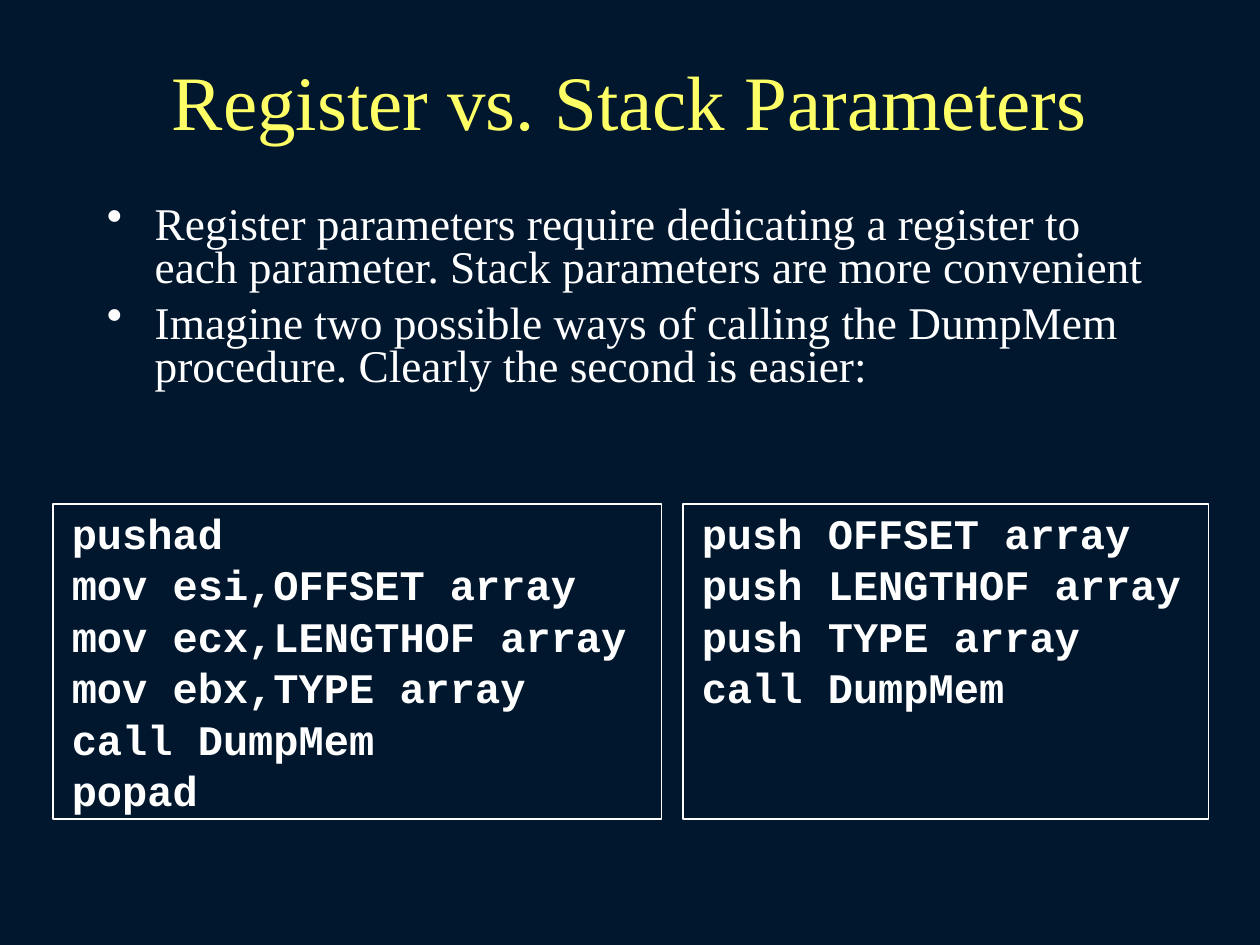
from lxml import etree
from pptx import Presentation
from pptx.dml.color import RGBColor
from pptx.enum.shapes import MSO_SHAPE
from pptx.enum.text import MSO_ANCHOR, PP_ALIGN
from pptx.oxml.ns import qn
from pptx.util import Inches, Pt

RECTANGLE = MSO_SHAPE.RECTANGLE
TOP, MIDDLE = MSO_ANCHOR.TOP, MSO_ANCHOR.MIDDLE
LEFT, CENTER = PP_ALIGN.LEFT, PP_ALIGN.CENTER

BULLETS = [
    "Register parameters require dedicating a register to each parameter. "
    "Stack parameters are more convenient",
    "Imagine two possible ways of calling the DumpMem procedure. "
    "Clearly the second is easier:",
]
REGISTER_CODE = """pushad
mov esi,OFFSET array
mov ecx,LENGTHOF array
mov ebx,TYPE array
call DumpMem
popad"""
STACK_CODE = """push OFFSET array
push LENGTHOF array
push TYPE array
call DumpMem"""


def color(value):
    return RGBColor.from_string(value)


def add_bullet(paragraph, indent):
    """Give the paragraph a round bullet with a hanging indent."""
    properties = paragraph._p.get_or_add_pPr()
    properties.set("marL", str(indent))
    properties.set("indent", str(-indent))
    etree.SubElement(properties, qn("a:buChar")).set("char", "•")


def write(frame, lines, size, font, ink, bold=False, align=LEFT, anchor=TOP,
          margins=(0.1, 0.05), spacing=1.0, before=0, bullet_indent=None):
    """Fill a text frame with one paragraph per line."""
    frame.word_wrap = True
    frame.vertical_anchor = anchor
    frame.margin_left = frame.margin_right = Inches(margins[0])
    frame.margin_top = frame.margin_bottom = Inches(margins[1])
    for number, line in enumerate(lines):
        paragraph = frame.add_paragraph() if number else frame.paragraphs[0]
        if bullet_indent:
            add_bullet(paragraph, Inches(bullet_indent))
        paragraph.alignment = align
        paragraph.line_spacing = spacing
        paragraph.space_before = Pt(before if number else 0)
        run = paragraph.add_run()
        run.text = line
        run.font.size = Pt(size)
        run.font.name = font
        run.font.bold = bold
        run.font.color.rgb = color(ink)


class SlideBuilder:
    background = "00172E"
    title_color = "FFFF66"
    ink = "FFFFFF"
    text_font = "Times New Roman"
    code_font = "Courier New"

    def __init__(self, slide):
        self.slide = slide
        fill = slide.background.fill
        fill.solid()
        fill.fore_color.rgb = color(self.background)

    def text_box(self, left, top, width, height):
        box = self.slide.shapes.add_textbox(
            Inches(left), Inches(top), Inches(width), Inches(height))
        return box.text_frame

    def title(self, text, *place):
        write(self.text_box(*place), [text], size=44, font=self.text_font,
              ink=self.title_color, align=CENTER, anchor=MIDDLE)

    def bullets(self, lines, *place):
        write(self.text_box(*place), lines, size=25.9, font=self.text_font,
              ink=self.ink, spacing=0.8, before=7, bullet_indent=0.38)

    def code(self, text, left, top, width, height):
        shape = self.slide.shapes.add_shape(
            RECTANGLE, Inches(left), Inches(top), Inches(width), Inches(height))
        shape.shadow.inherit = False
        shape.fill.background()
        shape.line.color.rgb = color(self.ink)
        shape.line.width = Pt(0.75)
        write(shape.text_frame, text.splitlines(), size=24, font=self.code_font,
              ink=self.ink, bold=True, margins=(0.15, 0.2), spacing=0.5, before=15)


def main():
    presentation = Presentation()
    presentation.slide_width = Inches(10)
    presentation.slide_height = Inches(7.5)
    builder = SlideBuilder(
        presentation.slides.add_slide(presentation.slide_layouts[6]))
    builder.title("Register vs. Stack Parameters", 0.75, 0.33, 8.5, 0.92)
    builder.bullets(BULLETS, 0.75, 1.58, 8.5, 2.24)
    builder.code(REGISTER_CODE, 0.42, 4, 4.83, 2.5)
    builder.code(STACK_CODE, 5.42, 4, 4.17, 2.5)
    presentation.save("out.pptx")


if __name__ == "__main__":
    main()
